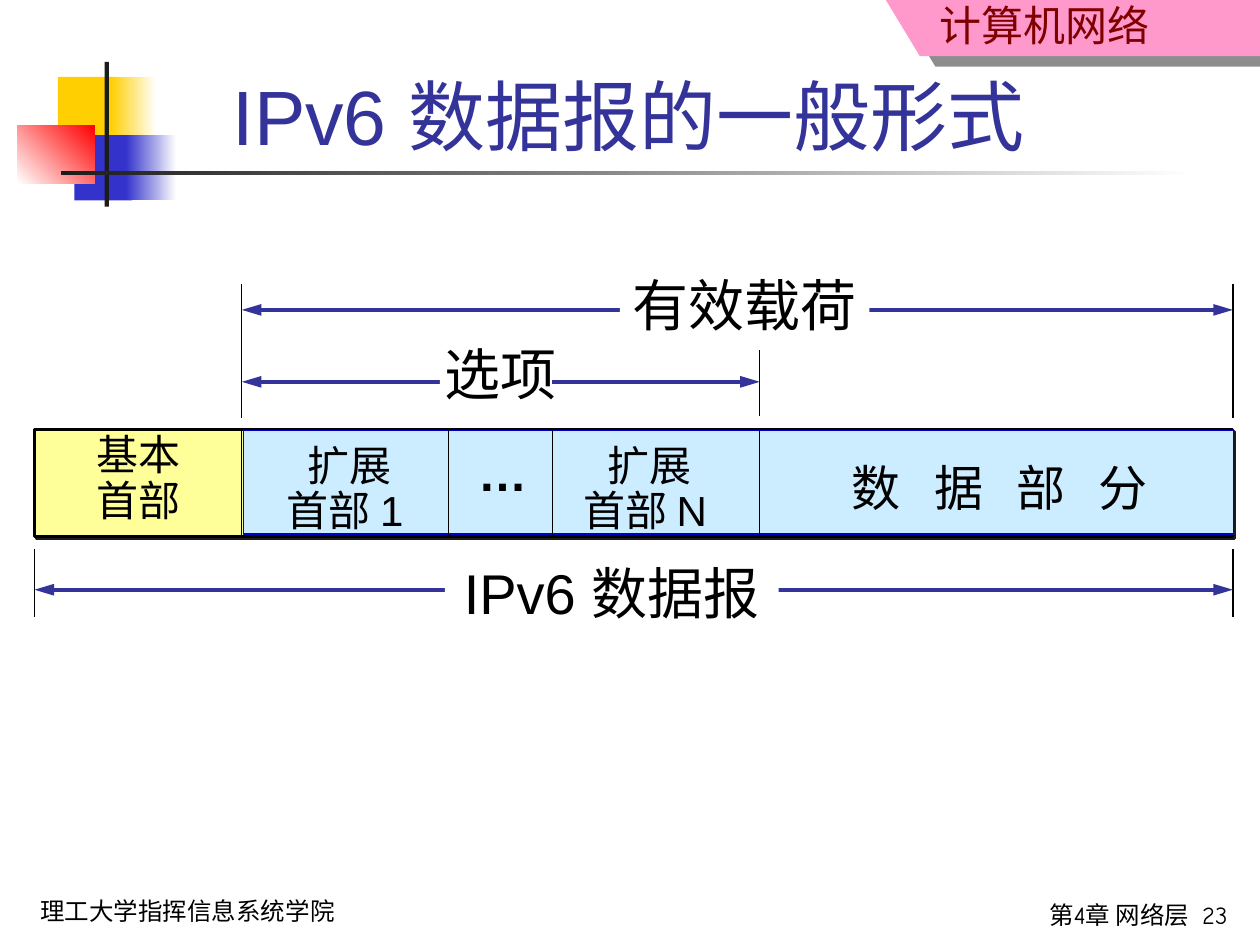
"""Build the slide on the general form of an IPv6 datagram."""
from dataclasses import dataclass

from lxml.etree import SubElement
from pptx import Presentation
from pptx.dml.color import RGBColor as Color
from pptx.enum.shapes import MSO_CONNECTOR as Connector, MSO_SHAPE as Shape
from pptx.enum.text import MSO_ANCHOR as Anchor, MSO_AUTO_SIZE as AutoSize, PP_ALIGN as Align
from pptx.oxml.ns import qn
from pptx.util import Pt


@dataclass(frozen=True)
class Theme:
    font: str = "Arial"
    banner_font: str = "Noto Sans CJK SC"
    footer_font: str = "Comic Neue"
    black: str = "000000"
    white: str = "FFFFFF"
    dark: str = "1C1C1C"
    indigo: str = "333399"
    pink: str = "FF99CC"
    maroon: str = "800000"
    gold: str = "FFCF01"
    blue: str = "3333CC"
    red: str = "FF0000"
    yellow: str = "FFFF99"
    sky: str = "CCECFF"
    border: str = "0000CC"
    title: int = 44
    label: int = 32
    field: int = 28
    header: int = 24
    footer: int = 14


THEME = Theme()
LEFT, PAYLOAD, RIGHT = 19.7, 138.2, 704.5
EXTENSION_ENDS = (256.5, 315.6, 434.2)
BAR_TOP, BAR_BOTTOM = 245.5, 306.7


def add_shadow(shape, distance, angle, opacity):
    shape.shadow.inherit = False
    effects = shape._element.spPr.find(qn("a:effectLst"))
    shadow = SubElement(effects, qn("a:outerShdw"), blurRad="0",
                        dist=str(Pt(distance)), dir=str(angle * 60000), rotWithShape="0")
    color = SubElement(shadow, qn("a:srgbClr"), val=THEME.dark)
    SubElement(color, qn("a:alpha"), val=str(opacity * 1000))


def add_block(page, left, top, width, height, color, fade=None, angle=0, border=None, weight=0.75):
    block = page.shapes.add_shape(Shape.RECTANGLE, Pt(left), Pt(top), Pt(width), Pt(height))
    block.shadow.inherit = False
    if fade:
        block.fill.gradient()
        block.fill.gradient_angle = angle
        for stop, shade in zip(block.fill.gradient_stops, (color, fade)):
            stop.color.rgb = Color.from_string(shade)
    else:
        block.fill.solid()
        block.fill.fore_color.rgb = Color.from_string(color)
    if border:
        block.line.color.rgb = Color.from_string(border)
        block.line.width = Pt(weight)
    else:
        block.line.fill.background()
    return block


def style_text(frame, lines, size, color=THEME.black, font=THEME.font,
               align=Align.CENTER, bold=False, leading=None, tracking=None):
    for index, line in enumerate(lines):
        para = frame.paragraphs[0] if index == 0 else frame.add_paragraph()
        span = para.add_run()
        span.text = line
        para.alignment = align
        if leading:
            para.line_spacing = leading
        para.font.name = font
        para.font.size = Pt(size)
        para.font.bold = bold
        para.font.color.rgb = Color.from_string(color)
        if tracking:
            span._r.get_or_add_rPr().set("spc", str(int(tracking * 100)))


def add_text(page, left, top, width, height, lines, size, side=0, inset=3.6, fill=None, **style):
    box = page.shapes.add_textbox(Pt(left), Pt(top), Pt(width), Pt(height))
    if fill:
        box.fill.solid()
        box.fill.fore_color.rgb = Color.from_string(fill)
    frame = box.text_frame
    frame.word_wrap = True
    frame.margin_left = frame.margin_right = Pt(side)
    frame.margin_top = Pt(inset)
    style_text(frame, lines, size, **style)


def add_line(page, start, end, color=THEME.black, weight=0.75):
    line = page.shapes.add_connector(Connector.STRAIGHT, *map(Pt, start), *map(Pt, end))
    line.line.color.rgb = Color.from_string(color)
    line.line.width = Pt(weight)
    SubElement(line._element.spPr, qn("a:effectLst"))
    return line


def add_tick(page, x, top, bottom):
    add_line(page, (x, top), (x, bottom))


def add_span_arrow(page, left, right, y):
    arrow = add_line(page, (left, y), (right, y), THEME.indigo, 2.25)
    outline = arrow.line._get_or_add_ln()
    for end in ("a:headEnd", "a:tailEnd"):
        SubElement(outline, qn(end), type="triangle", w="med", len="lg")


def add_banner(page):
    outline = page.shapes.build_freeform(Pt(506.2), Pt(0), scale=1.0)
    outline.add_line_segments([(Pt(x), Pt(y)) for x, y in ((525.6, 32), (720, 32), (720, 0))])
    banner = outline.convert_to_shape()
    banner.fill.solid()
    banner.fill.fore_color.rgb = Color.from_string(THEME.pink)
    banner.line.fill.background()
    add_shadow(banner, 10.8, 34, 50)
    add_text(page, 419, -0.5, 244.8, 32.4, ["计算机网络"], THEME.header, side=7.2, inset=0,
             color=THEME.maroon, font=THEME.banner_font, align=Align.RIGHT)


def add_ornament(page):
    add_block(page, 33.1, 43.9, 34.6, 37.4, THEME.gold)
    add_block(page, 63.4, 43.9, 25.9, 37.4, THEME.gold, THEME.white)
    add_block(page, 42.5, 77.2, 33.1, 37.4, THEME.blue)
    add_block(page, 72, 77.2, 28.8, 37.4, THEME.blue, THEME.white)
    add_block(page, 10.1, 71.6, 43.9, 33.1, THEME.white, THEME.red, angle=45)
    add_block(page, 59.8, 35.3, 2.5, 82.8, THEME.dark)
    add_block(page, 34.6, 97.9, 648, 2, THEME.dark, THEME.white)


def add_title(page):
    title = page.shapes.title
    title.left, title.top, title.width, title.height = map(Pt, (85.8, 17.2, 547.2, 78.5))
    title.text_frame.vertical_anchor = Anchor.BOTTOM
    title.text_frame.auto_size = AutoSize.NONE
    style_text(title.text_frame, ["IPv6 数据报的一般形式"], THEME.title, THEME.indigo)


def add_datagram(page):
    bar = add_block(page, LEFT, BAR_TOP, RIGHT - LEFT, BAR_BOTTOM - BAR_TOP,
                    THEME.yellow, border=THEME.black, weight=1.5)
    add_shadow(bar, 1.4, 45, 100)
    add_block(page, 139, 246.2, 565.9, 59, THEME.sky, border=THEME.border)
    for x in (PAYLOAD, *EXTENSION_ENDS):
        add_tick(page, x, BAR_TOP, BAR_BOTTOM)
    for left, top, width, lines in ((48.2, 244.8, 61.9, ["基本", "首部"]),
                                    (154.1, 250.6, 86.4, [" 扩展", "首部 1"]),
                                    (323.3, 250.6, 90.7, [" 扩展", "首部 N"])):
        add_text(page, left, top, width, 59, lines, THEME.header, leading=0.9)
    add_text(page, 258.5, 249.1, 49.7, 41, [" …"], THEME.field, bold=True)
    add_text(page, 480.2, 257.8, 182.2, 41, ["数 据 部 分"], THEME.field, tracking=6.4)


def add_measures(page):
    add_tick(page, PAYLOAD, 162, 239)
    add_tick(page, EXTENSION_ENDS[-1], 200.2, 237.6)
    add_tick(page, RIGHT, 162, 239)
    for x in (LEFT, RIGHT):
        add_tick(page, x, 313.6, 352.4)
    add_span_arrow(page, PAYLOAD, EXTENSION_ENDS[-1], 218.2)
    add_block(page, 251.3, 200.2, 64.1, 32.4, THEME.white)
    add_text(page, 247, 190.4, 78.5, 46.1, ["选项"], THEME.label)
    add_span_arrow(page, LEFT, RIGHT, 337)
    add_text(page, 254.2, 315.4, 190.8, 46.1, ["IPv6 数据报"], THEME.label, fill=THEME.white)
    add_span_arrow(page, PAYLOAD, RIGHT, 177.1)
    add_text(page, 354.2, 150.8, 142.6, 46.1, ["有效载荷"], THEME.label, fill=THEME.white)


def add_footer(page):
    for left, top, width, text, align in ((15.8, 508.3, 223.9, "理工大学指挥信息系统学院", Align.LEFT),
                                          (523.4, 510.5, 163.4, "第4章 网络层", Align.RIGHT),
                                          (651.6, 510.5, 56.9, "23", Align.RIGHT)):
        add_text(page, left, top, width, 25.9, [text], THEME.footer, side=7.2,
                 font=THEME.footer_font, align=align)


def main():
    deck = Presentation()
    deck.slide_width, deck.slide_height = Pt(720), Pt(540)
    page = deck.slides.add_slide(deck.slide_layouts[5])
    add_banner(page)
    add_ornament(page)
    add_title(page)
    add_datagram(page)
    add_measures(page)
    add_footer(page)
    deck.save("out.pptx")


if __name__ == "__main__":
    main()
